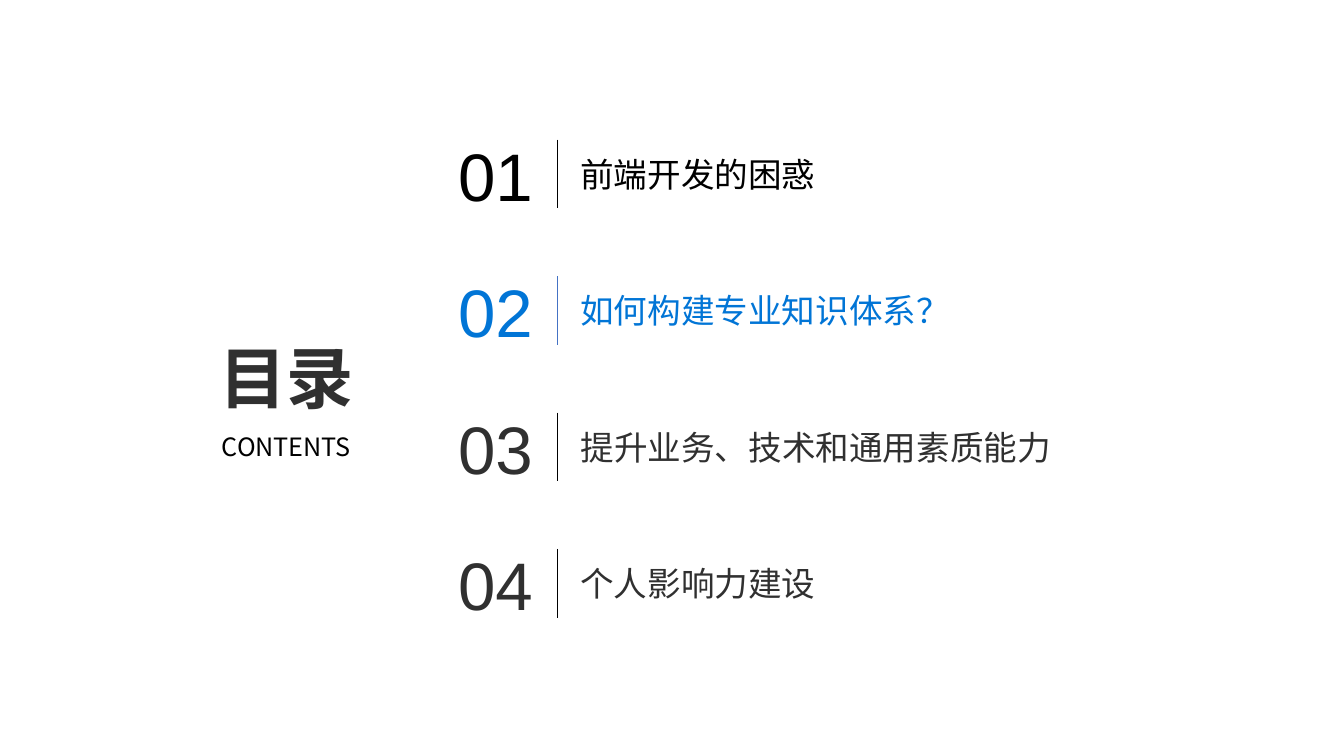
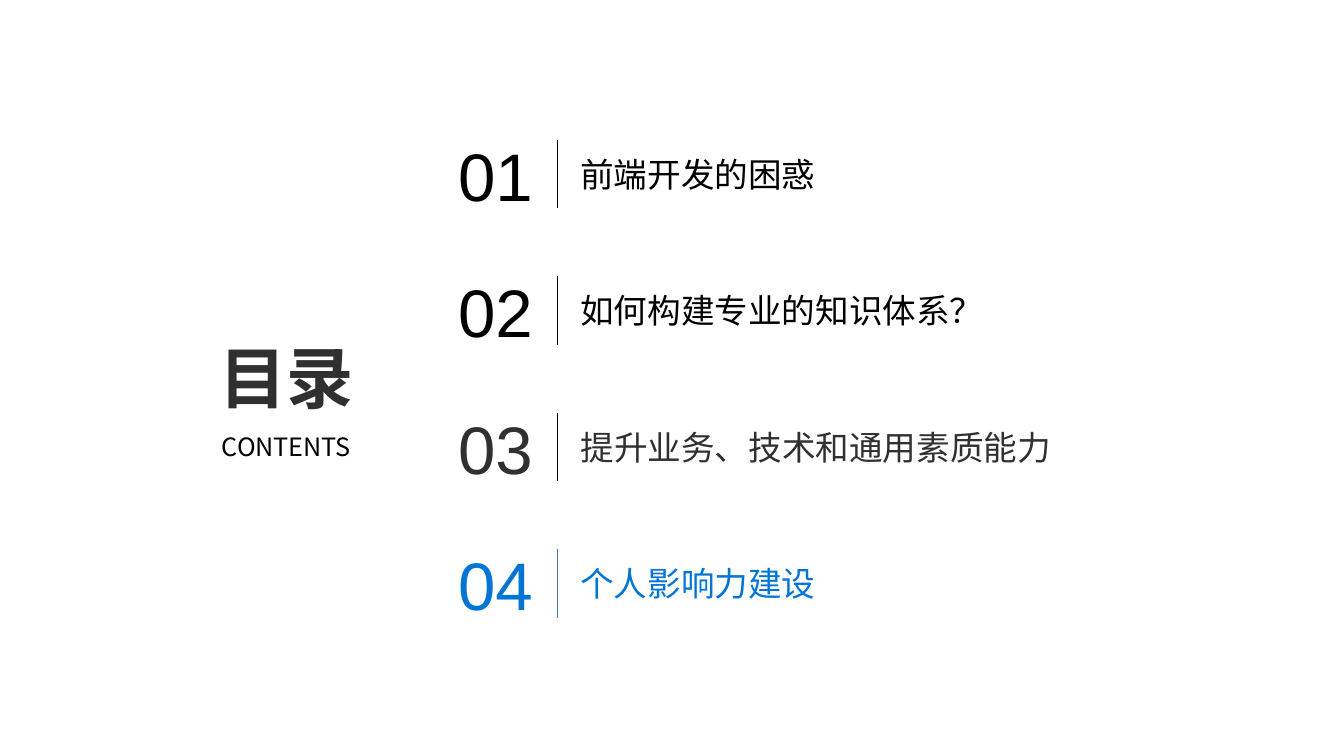
from dataclasses import dataclass

from lxml.etree import SubElement as Sub
from pptx import Presentation
from pptx.dml.color import RGBColor as Color
from pptx.enum.shapes import MSO_CONNECTOR as Link
from pptx.enum.text import MSO_ANCHOR as Anchor, MSO_AUTO_SIZE as Fit, PP_ALIGN as Align
from pptx.oxml.ns import qn
from pptx.slide import Slide
from pptx.text.text import TextFrame as Frame
from pptx.util import Emu, Pt

SCALE = 4572
TOP = 190
STEP = 203


@dataclass(frozen=True)
class Theme:
    black: str = "000000"
    dark: str = "303030"
    blue: str = "0175D6"
    rule: str = "4472C4"
    face: str = "Arial"
    head: str = "Arial Narrow"
    asian: str = "Noto Sans CJK SC"
    big: float = 36
    mid: float = 18
    small: float = 13.5
    line: float = 0.5


@dataclass(frozen=True)
class Box:
    x: int
    y: int
    w: int
    h: int


@dataclass(frozen=True)
class Style:
    face: str
    size: float
    color: str
    bold: bool = False


@dataclass(frozen=True)
class Topic:
    text: str
    width: int
    color: str


@dataclass(frozen=True)
class Page:
    topics: tuple[Topic, ...]
    active: int


LOOK = Theme()

DOUBTS = Topic("前端开发的困惑", 440, LOOK.black)
SKILLS = Topic("提升业务、技术和通用素质能力", 822, LOOK.dark)
IMPACT = Topic("个人影响力建设", 440, LOOK.dark)


def system(text: str) -> Topic:
    return Topic(text, 668, LOOK.black)


PAGES = (
    Page((DOUBTS, system("如何构建专业知识体系？"), SKILLS, IMPACT), 1),
    Page((DOUBTS, system("如何构建专业的知识体系？"), SKILLS, IMPACT), 3),
)


def px(count: int) -> Emu:
    return Emu(count * SCALE)


def place(shape, box: Box) -> None:
    shape.left, shape.top = px(box.x), px(box.y)
    shape.width, shape.height = px(box.w), px(box.h)


def write(frame: Frame, lines: list[tuple[str, Style]], wrap: bool = True) -> None:
    frame.text = "\n".join(text for text, _ in lines)
    frame.word_wrap = wrap
    frame.auto_size = Fit.SHAPE_TO_FIT_TEXT
    frame.vertical_anchor = Anchor.TOP
    for para, (_, style) in zip(frame.paragraphs, lines):
        font = para.font
        font.name = style.face
        font.size = Pt(style.size)
        font.bold = style.bold
        font.color.rgb = Color.from_string(style.color)
        for run in para.runs:
            props = run.font._element
            Sub(props, qn("a:ea")).set("typeface", LOOK.asian)


def label(slide: Slide, box: Box, text: str, style: Style, wrap: bool = True) -> None:
    shape = slide.shapes.add_textbox(0, 0, 0, 0)
    write(shape.text_frame, [(text, style)], wrap)
    place(shape, box)


def divide(slide: Slide, x: int, y: int, h: int, color: str) -> None:
    line = slide.shapes.add_connector(Link.STRAIGHT, px(x), px(y), px(x), px(y + h))
    line.line.color.rgb = Color.from_string(color)
    line.line.width = Pt(LOOK.line)
    Sub(line._element.spPr, qn("a:effectLst"))


def head(slide: Slide) -> None:
    title = slide.shapes.title
    write(title.text_frame, [
        ("目录", Style(LOOK.head, LOOK.big, LOOK.dark, True)),
        ("CONTENTS", Style(LOOK.asian, LOOK.small, LOOK.black)),
    ])
    for para in title.text_frame.paragraphs:
        para.alignment = Align.CENTER
        para.line_spacing = 1.5
    place(title, Box(294, 430, 264, 262))


def entry(slide: Slide, row: int, topic: Topic, active: bool) -> None:
    y = TOP + row * STEP
    color = LOOK.blue if active else topic.color
    label(slide, Box(662, y, 152, 142), f"{row + 1:02}",
          Style(LOOK.face, LOOK.big, color), False)
    divide(slide, 830, y + 18, 102, LOOK.rule if active else LOOK.black)
    label(slide, Box(844, y + 29, topic.width, 80), topic.text,
          Style(LOOK.face, LOOK.mid, color))


def main() -> None:
    deck = Presentation()
    deck.slide_width, deck.slide_height = px(2000), px(1125)
    for page in PAGES:
        slide = deck.slides.add_slide(deck.slide_layouts[5])
        head(slide)
        for row, topic in enumerate(page.topics):
            entry(slide, row, topic, row == page.active)
    deck.save("out.pptx")


if __name__ == "__main__":
    main()
